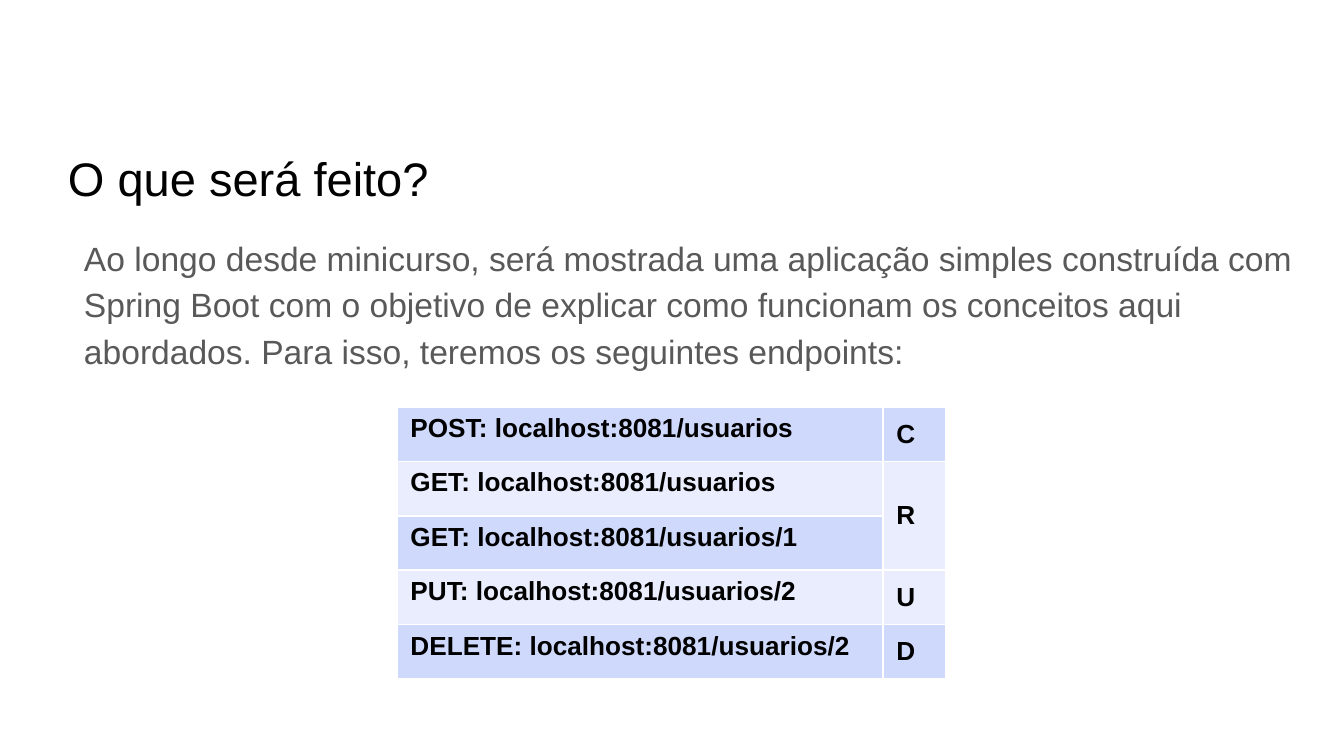
from lxml.etree import SubElement
from pptx import Presentation
from pptx.dml.color import RGBColor
from pptx.enum.text import MSO_ANCHOR as Anchor, MSO_AUTO_SIZE as AutoSize, PP_ALIGN as Align
from pptx.oxml.ns import qn
from pptx.util import Emu, Pt

SCALE = 914400 / 134.4
COLORS = {
    "title": "000000",
    "body": "595959",
    "band_dark": "CFD9FB",
    "band_light": "E9EDFD",
    "border": "FFFFFF",
}
TITLE = "O que será feito?"
INTRO = (
    "Ao longo desde minicurso, será mostrada uma aplicação simples construída com "
    "Spring Boot com o objetivo de explicar como funcionam os conceitos aqui "
    "abordados. Para isso, teremos os seguintes endpoints:"
)
ENDPOINTS = [
    ("POST: localhost:8081/usuarios", "C"),
    ("GET: localhost:8081/usuarios", "R"),
    ("GET: localhost:8081/usuarios/1", ""),
    ("PUT: localhost:8081/usuarios/2", "U"),
    ("DELETE: localhost:8081/usuarios/2", "D"),
]


def px(n):
    """Turn pixels into EMU."""
    return Emu(round(n * SCALE))


def rgb(name):
    """Look up a named colour."""
    return RGBColor.from_string(COLORS[name])


def write(tf, text, size=14, color="title", bold=False, spacing=1.0, indent=0):
    """Write one formatted paragraph into a text frame."""
    p = tf.paragraphs[0]
    p.alignment = Align.LEFT
    p.line_spacing = spacing
    p.space_before = p.space_after = Pt(0)
    pPr = p._p.get_or_add_pPr()
    pPr.set("marL", str(px(indent)))
    pPr.set("indent", "0")
    SubElement(pPr, qn("a:buNone"))
    r = p.add_run()
    r.text = text
    r.font.name = "Arial"
    r.font.size = Pt(size)
    r.font.bold = bold
    r.font.color.rgb = rgb(color)


def fill_placeholder(sp, box, text, anchor, **fmt):
    """Place a placeholder and write its text."""
    sp.left, sp.top, sp.width, sp.height = map(px, box)
    tf = sp.text_frame
    tf.word_wrap = True
    tf.auto_size = AutoSize.NONE
    tf.vertical_anchor = anchor
    tf.margin_left = tf.margin_right = tf.margin_top = tf.margin_bottom = px(13)
    write(tf, text, **fmt)


def add_borders(cell):
    """Draw a thin line on all four sides of a cell."""
    tcPr = cell._tc.get_or_add_tcPr()
    for i, side in enumerate(("lnL", "lnR", "lnT", "lnB")):
        ln = tcPr.makeelement(qn(f"a:{side}"), {"w": str(Pt(1))})
        fill = SubElement(ln, qn("a:solidFill"))
        SubElement(fill, qn("a:srgbClr"), val=COLORS["border"])
        tcPr.insert(i, ln)


def add_endpoint_table(s, box, widths):
    """Add the banded table of endpoints and their CRUD letters."""
    table = s.shapes.add_table(len(ENDPOINTS), len(widths), *map(px, box)).table
    table.first_row = False
    for col, width in zip(table.columns, widths):
        col.width = px(width)
    for i, row in enumerate(ENDPOINTS):
        for j, text in enumerate(row):
            cell = table.cell(i, j)
            cell.fill.solid()
            cell.fill.fore_color.rgb = rgb("band_light" if i % 2 else "band_dark")
            cell.vertical_anchor = Anchor.MIDDLE if j else Anchor.TOP
            add_borders(cell)
            if text:
                write(cell.text_frame, text, bold=True)
    table.cell(1, 1).merge(table.cell(2, 1))


def main():
    """Build the slide and save it."""
    prs = Presentation()
    prs.slide_width, prs.slide_height = px(1344), px(756)
    s = prs.slides.add_slide(prs.slide_layouts[1])
    fill_placeholder(s.shapes.title, (55, 134, 1253, 85), TITLE, Anchor.BOTTOM, size=25.2)
    fill_placeholder(s.placeholders[1], (55, 219, 1253, 503), INTRO, Anchor.TOP,
                     size=18, color="body", spacing=1.15, indent=16)
    add_endpoint_table(s, (397, 407, 549, 272), (486, 63))
    prs.save("out.pptx")


if __name__ == "__main__":
    main()
